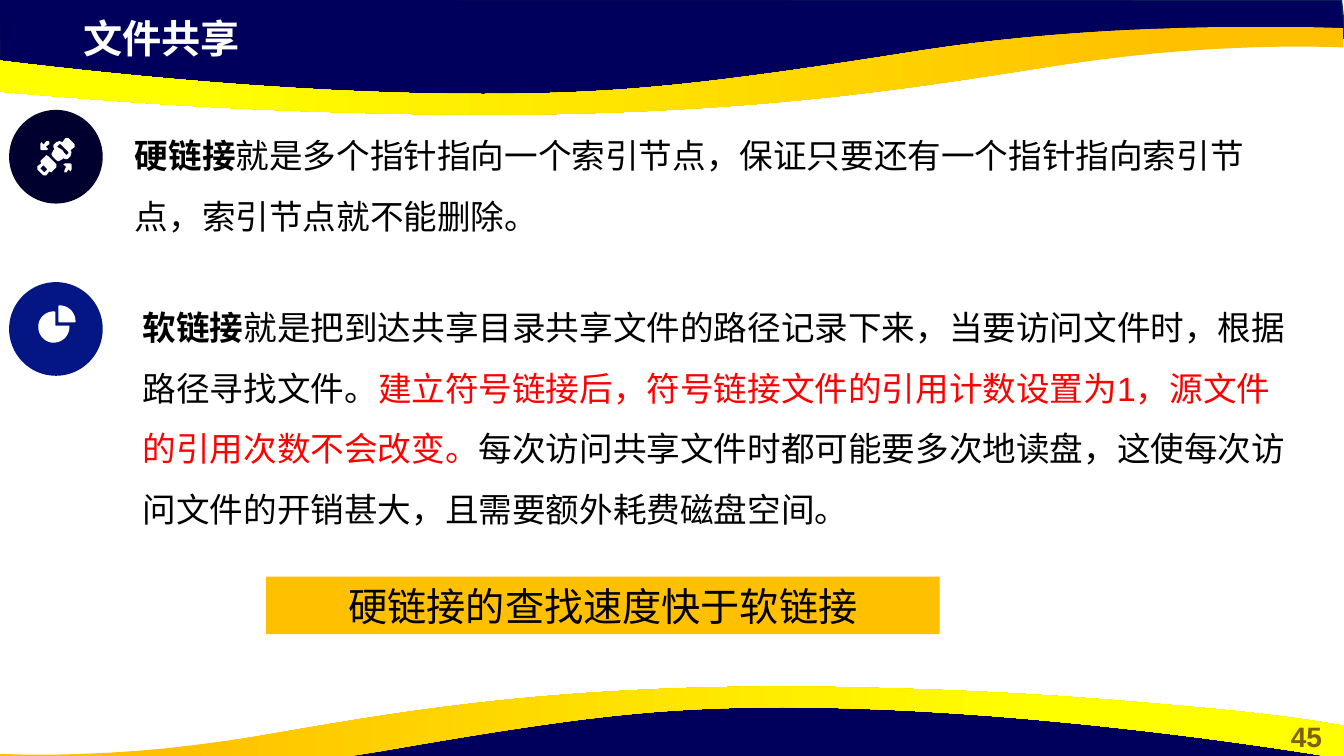
"""Build the file sharing slide comparing hard links with soft links."""
from dataclasses import dataclass
from typing import Any

from pptx import Presentation
from pptx import util as u
from pptx.dml.color import RGBColor
from pptx.enum import shapes, text


@dataclass(frozen=True)
class Theme:
    """Colours, type sizes and font of the slide."""
    navy: str = "00005C"
    navy_edge: str = "05304F"
    gold: str = "FFC000"
    yellow: str = "FFFF00"
    dark_disc: str = "00002E"
    blue_disc: str = "031684"
    white: str = "FFFFFF"
    black: str = "000000"
    red: str = "FF0000"
    olive: str = "806000"
    font: str = "Arial"
    title: int = 28
    body: int = 24
    number: int = 20


THEME = Theme()
Contour = list[tuple[float, ...]]


@dataclass(frozen=True)
class Span:
    """A stretch of text in one format."""
    words: str
    color: str = THEME.black
    bold: bool = False


@dataclass(frozen=True)
class Label:
    """A text box or filled bar, placed in centimetres."""
    left: float
    top: float
    width: float
    height: float
    size: int
    spans: tuple[Span, ...]
    spacing: float = 1.0
    align: Any = text.PP_ALIGN.LEFT
    fill: str | None = None
    anchor: Any = text.MSO_ANCHOR.TOP


@dataclass(frozen=True)
class Badge:
    """A disc holding a white icon."""
    top: float
    color: str
    icon: list[Contour]


NAVY_BAND: Contour = [
    (-0.01, -0.01), (0, 0.7), (2.93, 1.02), (5.59, 1), (7.95, 0.88),
    (10.16, 0.5), (12.38, 0.33), (13.35, 0.38), (13.31, 0)]
GOLD_WAVE: Contour = [
    (4.83, 1.14), (4.43, 1.14, 4.01, 1.13, 3.56, 1.12),
    (2.06, 1.08, 1.1, 1, 0.36, 0.94), (-0.88, 0.84, -1.3, 0.75, -1.33, 0.75),
    (-1.33, 0.42), (-1.33, 0.42, 2.18, 0.98, 5.17, 0.93),
    (6.26, 0.91, 7.08, 0.83, 9.15, 0.5), (11.21, 0.18, 13.33, 0.28, 13.33, 0.28),
    (13.33, 0.47), (13.3, 0.47), (13.05, 0.46, 11.95, 0.43, 10.55, 0.64),
    (9.18, 0.85, 7.62, 1.13, 4.83, 1.14)]
SATELLITE: list[Contour] = [
    [(0.43, 1.64), (0.4, 1.67), (0.44, 1.71), (0.47, 1.68)],
    [(0.65, 1.62), (0.7, 1.62), (0.71, 1.63), (0.71, 1.68), (0.7, 1.7),
     (0.68, 1.68), (0.66, 1.71), (0.64, 1.71), (0.64, 1.69), (0.66, 1.65),
     (0.65, 1.65), (0.63, 1.63)],
    [(0.46, 1.54), (0.48, 1.55), (0.56, 1.63), (0.56, 1.66), (0.52, 1.7),
     (0.51, 1.71), (0.49, 1.7), (0.46, 1.74), (0.43, 1.74), (0.37, 1.68),
     (0.37, 1.65), (0.41, 1.62), (0.4, 1.6), (0.41, 1.59), (0.45, 1.55)],
    [(0.59, 1.43), (0.57, 1.45), (0.57, 1.46), (0.59, 1.47), (0.62, 1.49),
     (0.64, 1.52), (0.66, 1.54), (0.68, 1.52), (0.68, 1.51), (0.6, 1.43)],
    [(0.48, 1.4), (0.49, 1.41), (0.49, 1.43), (0.45, 1.46), (0.46, 1.46),
     (0.48, 1.48), (0.46, 1.49), (0.41, 1.49), (0.4, 1.48), (0.4, 1.43),
     (0.41, 1.41), (0.43, 1.43), (0.43, 1.44), (0.46, 1.4)],
    [(0.66, 1.37), (0.68, 1.37), (0.74, 1.43), (0.74, 1.46), (0.7, 1.49),
     (0.71, 1.51), (0.7, 1.55), (0.67, 1.58), (0.65, 1.58), (0.63, 1.57),
     (0.62, 1.58), (0.6, 1.59), (0.58, 1.6), (0.56, 1.59), (0.52, 1.55),
     (0.51, 1.53), (0.52, 1.51), (0.53, 1.49), (0.54, 1.48), (0.53, 1.46),
     (0.53, 1.44), (0.56, 1.41), (0.59, 1.4), (0.62, 1.41), (0.65, 1.37)]]
PIE: list[Contour] = [
    [(0.53, 3.09), (0.54, 3.09, 0.55, 3.09, 0.55, 3.1), (0.55, 3.23), (0.68, 3.23),
     (0.69, 3.23, 0.69, 3.24, 0.69, 3.24), (0.69, 3.33, 0.62, 3.4, 0.53, 3.4),
     (0.45, 3.4, 0.38, 3.33, 0.38, 3.24), (0.38, 3.16, 0.45, 3.09, 0.53, 3.09)],
    [(0.59, 3.03), (0.68, 3.03, 0.75, 3.1, 0.75, 3.19),
     (0.75, 3.19, 0.75, 3.2, 0.74, 3.2), (0.59, 3.2),
     (0.59, 3.2, 0.58, 3.19, 0.58, 3.19), (0.58, 3.04),
     (0.58, 3.03, 0.59, 3.03, 0.59, 3.03)]]

BADGES = (Badge(2.77, THEME.dark_disc, SATELLITE), Badge(7.11, THEME.blue_disc, PIE))
LABELS = (
    Label(32, 18.01, 1.85, 1.12, THEME.number, (Span("45", THEME.olive, True),),
          align=text.PP_ALIGN.CENTER),
    Label(1.85, 0.23, 19.51, 1.45, THEME.title, (Span("文件共享", THEME.white, True),)),
    Label(3.15, 2.77, 28.88, 3.18, THEME.body, (
        Span("硬链接", bold=True),
        Span("就是多个指针指向一个索引节点，保证只要还有一个指针指向索引节点，索引节点就不能删除。")),
        spacing=1.5),
    Label(3.35, 7.11, 29.64, 6.4, THEME.body, (
        Span("软链接", bold=True),
        Span("就是把到达共享目录共享文件的路径记录下来，当要访问文件时，根据路径寻找文件。"),
        Span("建立符号链接后，符号链接文件的引用计数设置为1，源文件的引用次数不会改变。", THEME.red),
        Span("每次访问共享文件时都可能要多次地读盘，这使每次访问文件的开销甚大，且需要额外耗费磁盘空间。")),
        spacing=1.5),
    Label(6.71, 14.53, 16.97, 1.45, THEME.title, (Span("硬链接的查找速度快于软链接"),),
          align=text.PP_ALIGN.CENTER, fill=THEME.gold, anchor=text.MSO_ANCHOR.MIDDLE),
)


def apply(target: Any, values: dict[str, Any]) -> None:
    """Set every named attribute on the target."""
    for name, value in values.items():
        setattr(target, name, value)


def paint(shape: Any, color: str) -> None:
    """Give a shape a flat fill without line or shadow."""
    shape.shadow.inherit = False
    shape.fill.solid()
    shape.fill.fore_color.rgb = RGBColor.from_string(color)
    shape.line.fill.background()


def flatten(contour: Contour, steps: int = 24) -> list[tuple[int, int]]:
    """Turn points and cubic curves in inches into closely spaced vertices."""
    points = [contour[0]]
    for part in contour[1:]:
        if len(part) == 2:
            points.append(part)
            continue
        controls = (points[-1], part[:2], part[2:4], part[4:])
        for step in range(1, steps + 1):
            t = step / steps
            weights = ((1 - t) ** 3, 3 * t * (1 - t) ** 2, 3 * t * t * (1 - t), t ** 3)
            points.append(tuple(sum(w * c[axis] for w, c in zip(weights, controls))
                                for axis in (0, 1)))
    return [(u.Cm(x * 2.54), u.Cm(y * 2.54)) for x, y in points]


def draw_outline(page: Any, contours: list[Contour], color: str) -> Any:
    """Draw closed contours as one filled freeform."""
    first, *others = map(flatten, contours)
    builder = page.shapes.build_freeform(*first[0])
    builder.add_line_segments(first[1:], close=True)
    for points in others:
        builder.move_to(*points[0])
        builder.add_line_segments(points[1:], close=True)
    shape = builder.convert_to_shape()
    paint(shape, color)
    return shape


def turn(contour: Contour, right: float, bottom: float, stretch: float = 1) -> Contour:
    """Turn a contour half round for the foot of the page."""
    return [tuple(bottom - value if index % 2 else right - value * stretch
                  for index, value in enumerate(part)) for part in contour]


def draw_wave(page: Any, band: Contour, wave: Contour, angle: int) -> None:
    """Draw a navy band with a gold gradient wave over it."""
    navy = draw_outline(page, [band], THEME.navy)
    navy.line.color.rgb = RGBColor.from_string(THEME.navy_edge)
    navy.line.width = u.Pt(1)
    gold = draw_outline(page, [wave], THEME.gold)
    gold.fill.gradient()
    gold.fill.gradient_angle = angle
    for stop, position, color in zip(gold.fill.gradient_stops, (0.11, 0.78),
                                     (THEME.gold, THEME.yellow)):
        stop.position = position
        stop.color.rgb = RGBColor.from_string(color)


def draw_badge(page: Any, badge: Badge) -> None:
    """Draw a disc and its icon."""
    disc = page.shapes.add_shape(shapes.MSO_SHAPE.OVAL, u.Cm(0.23), u.Cm(badge.top),
                                 u.Cm(2.36), u.Cm(2.36))
    paint(disc, badge.color)
    draw_outline(page, badge.icon, THEME.white)


def draw_label(page: Any, label: Label) -> None:
    """Draw a text box, or a bar when the label has a fill."""
    place = [u.Cm(v) for v in (label.left, label.top, label.width, label.height)]
    if label.fill:
        box = page.shapes.add_shape(shapes.MSO_SHAPE.RECTANGLE, *place)
        paint(box, label.fill)
    else:
        box = page.shapes.add_textbox(*place)
    apply(box.text_frame, {"word_wrap": True, "vertical_anchor": label.anchor})
    para = box.text_frame.paragraphs[0]
    apply(para, {"alignment": label.align, "line_spacing": label.spacing})
    for span in label.spans:
        run = para.add_run()
        run.text = span.words
        apply(run.font, {"name": THEME.font, "size": u.Pt(label.size), "bold": span.bold})
        run.font.color.rgb = RGBColor.from_string(span.color)


def main() -> None:
    """Assemble and save the deck."""
    deck = Presentation()
    apply(deck, {"slide_width": u.Cm(33.87), "slide_height": u.Cm(19.05)})
    page = deck.slides.add_slide(deck.slide_layouts[6])
    draw_wave(page, NAVY_BAND, GOLD_WAVE, 180)
    draw_wave(page, turn(NAVY_BAND, 13.32, 7.93), turn(GOLD_WAVE, 12.12, 7.95, 0.91), 0)
    for badge in BADGES:
        draw_badge(page, badge)
    for label in LABELS:
        draw_label(page, label)
    deck.save("out.pptx")


if __name__ == "__main__":
    main()
